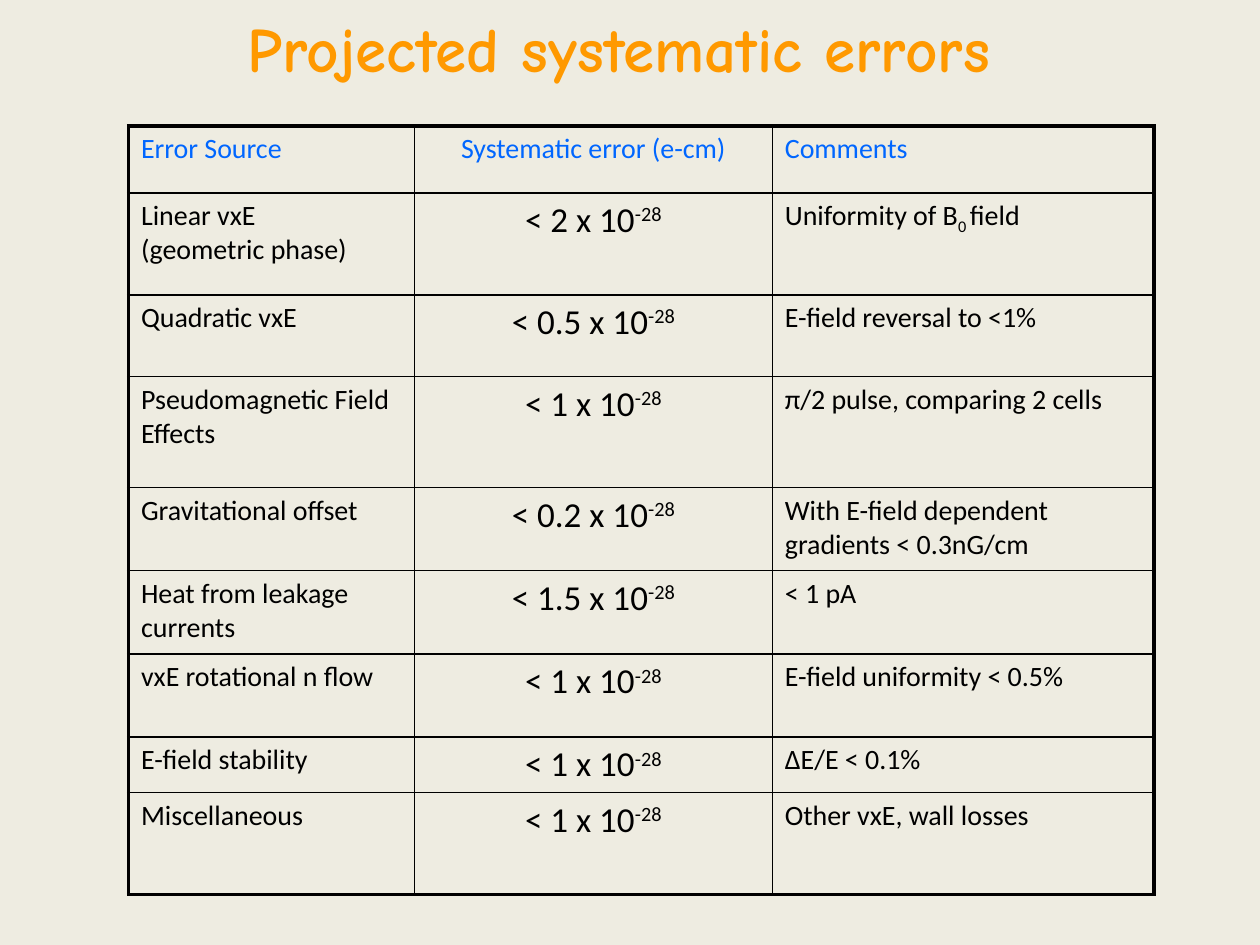
from lxml import etree
from pptx import Presentation
from pptx import util as u
from pptx.dml.color import RGBColor
from pptx.enum import text
from pptx.oxml import ns

CREAM = RGBColor(0xEE, 0xEC, 0xE1)
ORANGE = RGBColor(0xFF, 0x99, 0x00)
BLUE = RGBColor(0x00, 0x66, 0xFF)
BLACK = RGBColor(0x00, 0x00, 0x00)

OUTER, INNER = 2.25, 1
COLS = [2.27, 2.84, 3.03]
ROWS = [0.53, 0.81, 0.65, 0.88, 0.66, 0.66, 0.66, 0.43, 0.81]
HEADER = ["Error Source", "Systematic error (e-cm)", "Comments"]
SUPER, SUB = 30000, -25000

# Error source, coefficient of 10^-28 e-cm, comment
ERRORS = [
    ("Linear vxE\n(geometric phase)", "2",
     [("Uniformity of B", 0), ("0 ", SUB), ("field", 0)]),
    ("Quadratic vxE", "0.5", "E-field reversal to <1%"),
    ("Pseudomagnetic Field Effects", "1", "π/2 pulse, comparing 2 cells"),
    ("Gravitational offset", "0.2",
     "With E-field dependent gradients < 0.3nG/cm"),
    ("Heat from leakage currents", "1.5", "< 1 pA"),
    ("vxE rotational n flow", "1", "E-field uniformity < 0.5%"),
    ("E-field stability", "1", "ΔE/E < 0.1%"),
    ("Miscellaneous", "1", "Other vxE, wall losses"),
]


def style(p, font, size, color, align, bold=False):
    p.alignment = align
    p.font.name = font
    p.font.size = u.Pt(size)
    p.font.color.rgb = color
    p.font.bold = bold


def add_runs(p, runs):
    """Add (text, baseline shift) pairs as runs."""
    for words, shift in runs:
        r = p.add_run()
        r.text = words
        if shift:
            r._r.get_or_add_rPr().set("baseline", str(shift))


def set_borders(cell, widths):
    """Draw the left, right, top and bottom borders, widths in points."""
    tc_pr = cell._tc.get_or_add_tcPr()
    for i, (side, width) in enumerate(zip("LRTB", widths)):
        ln = etree.Element(ns.qn(f"a:ln{side}"), w=str(u.Pt(width)))
        fill = etree.SubElement(ln, ns.qn("a:solidFill"))
        etree.SubElement(fill, ns.qn("a:srgbClr"), val=str(BLACK))
        tc_pr.insert(i, ln)


def fill_cell(cell, content, size, color, align):
    """Write a string, one paragraph a line, or a list of shifted runs."""
    cell.fill.background()
    if isinstance(content, str):
        lines = [[(line, 0)] for line in content.split("\n")]
    else:
        lines = [content]
    tf = cell.text_frame
    for i, runs in enumerate(lines):
        p = tf.add_paragraph() if i else tf.paragraphs[0]
        style(p, "Calibri", size, color, align)
        add_runs(p, runs)


def add_title(s, words):
    sp = s.shapes.add_textbox(u.Inches(0.75), 0, u.Inches(8.5), u.Inches(0.75))
    tf = sp.text_frame
    tf.word_wrap = True
    tf.vertical_anchor = text.MSO_ANCHOR.MIDDLE
    p = tf.paragraphs[0]
    style(p, "Comic Neue", 36, ORANGE, text.PP_ALIGN.CENTER, bold=True)
    add_runs(p, [(words, 0)])


def add_error_table(s):
    table = s.shapes.add_table(
        len(ROWS), len(COLS), u.Inches(1.02), u.Inches(1),
        u.Inches(sum(COLS)), u.Inches(sum(ROWS))).table
    table.first_row = table.horz_banding = False
    for column, width in zip(table.columns, COLS):
        column.width = u.Inches(width)
    for row, height in zip(table.rows, ROWS):
        row.height = u.Inches(height)

    body = [(source, [(f"< {value} x 10", 0), ("-28", SUPER)], comment)
            for source, value, comment in ERRORS]
    for i, row in enumerate([HEADER] + body):
        for j, content in enumerate(row):
            cell = table.cell(i, j)
            fill_cell(cell, content,
                      20 if i and j == 1 else 16,
                      BLACK if i else BLUE,
                      text.PP_ALIGN.CENTER if j == 1 else text.PP_ALIGN.LEFT)
            edges = (j == 0, j == len(COLS) - 1, i == 0, i == len(ROWS) - 1)
            set_borders(cell, [OUTER if edge else INNER for edge in edges])


def main():
    prs = Presentation()
    prs.slide_width, prs.slide_height = u.Inches(10), u.Inches(7.5)
    s = prs.slides.add_slide(prs.slide_layouts[6])
    s.background.fill.solid()
    s.background.fill.fore_color.rgb = CREAM
    add_error_table(s)
    add_title(s, "Projected systematic errors ")
    prs.save("out.pptx")


if __name__ == "__main__":
    main()
